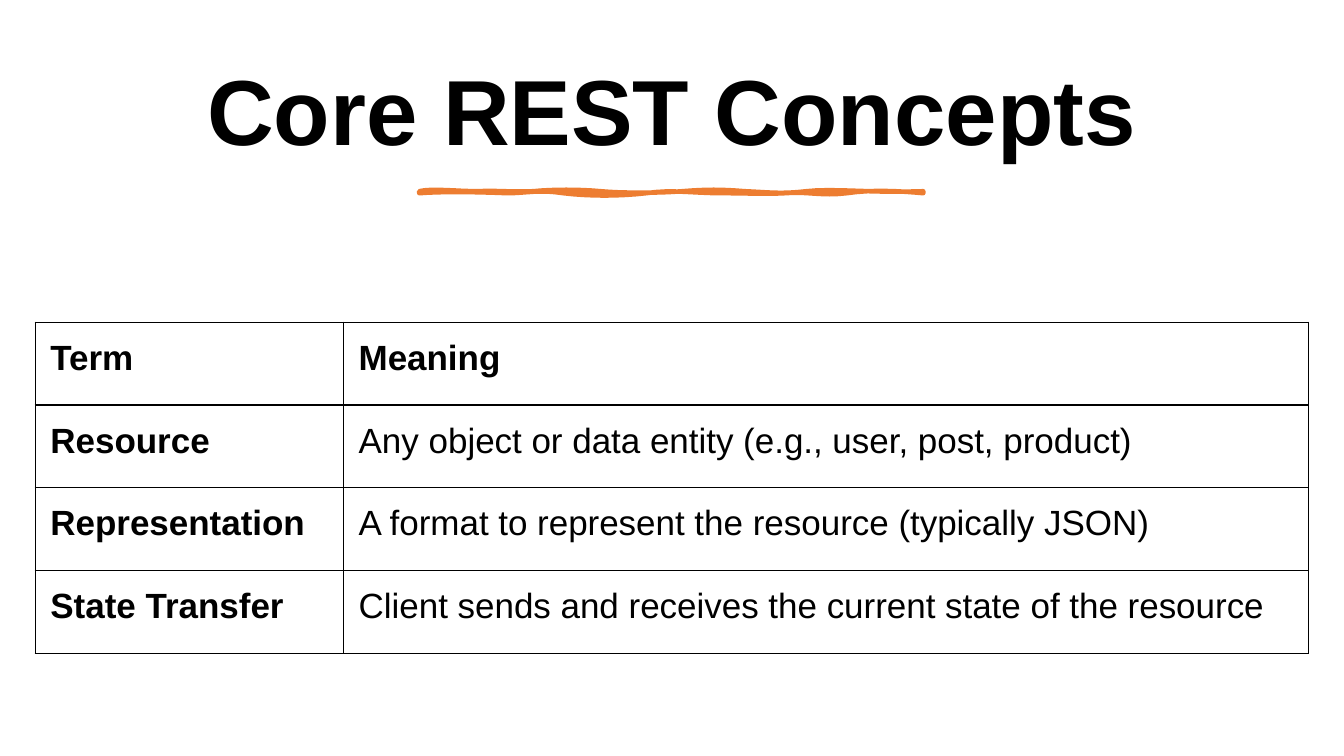
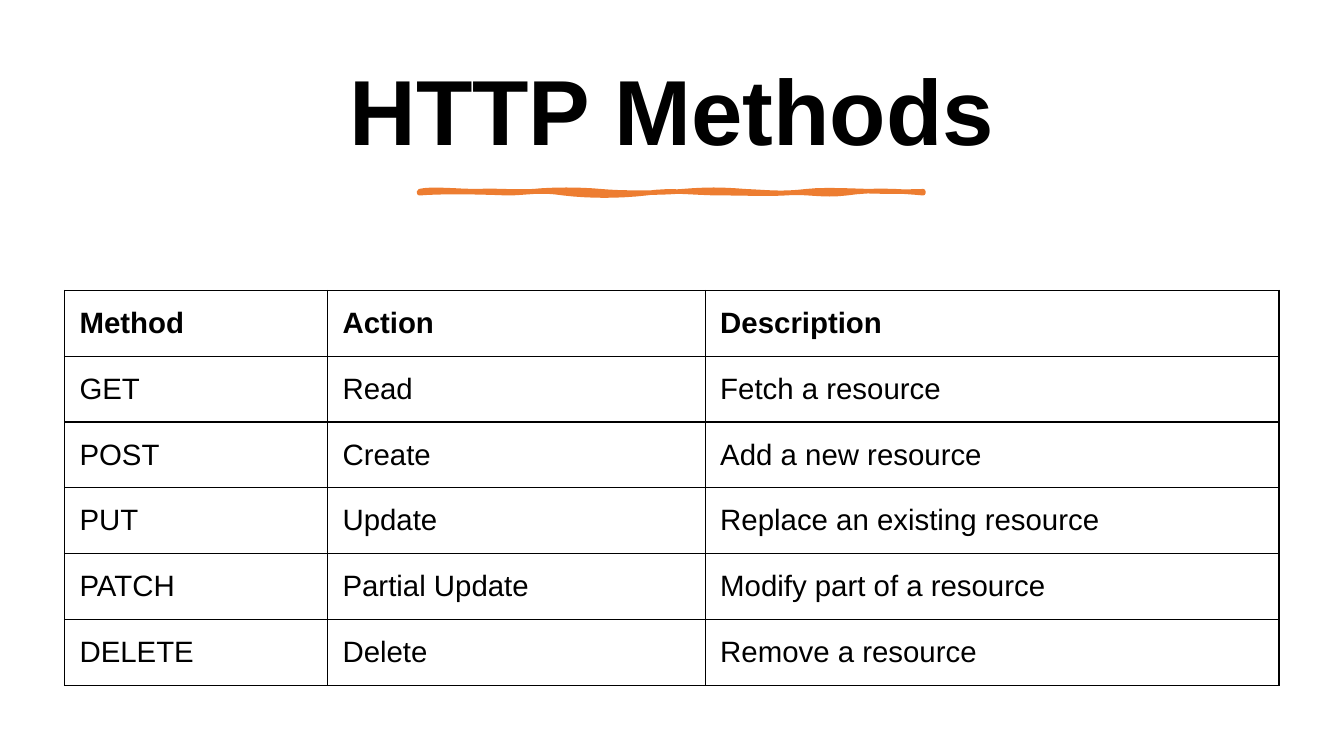
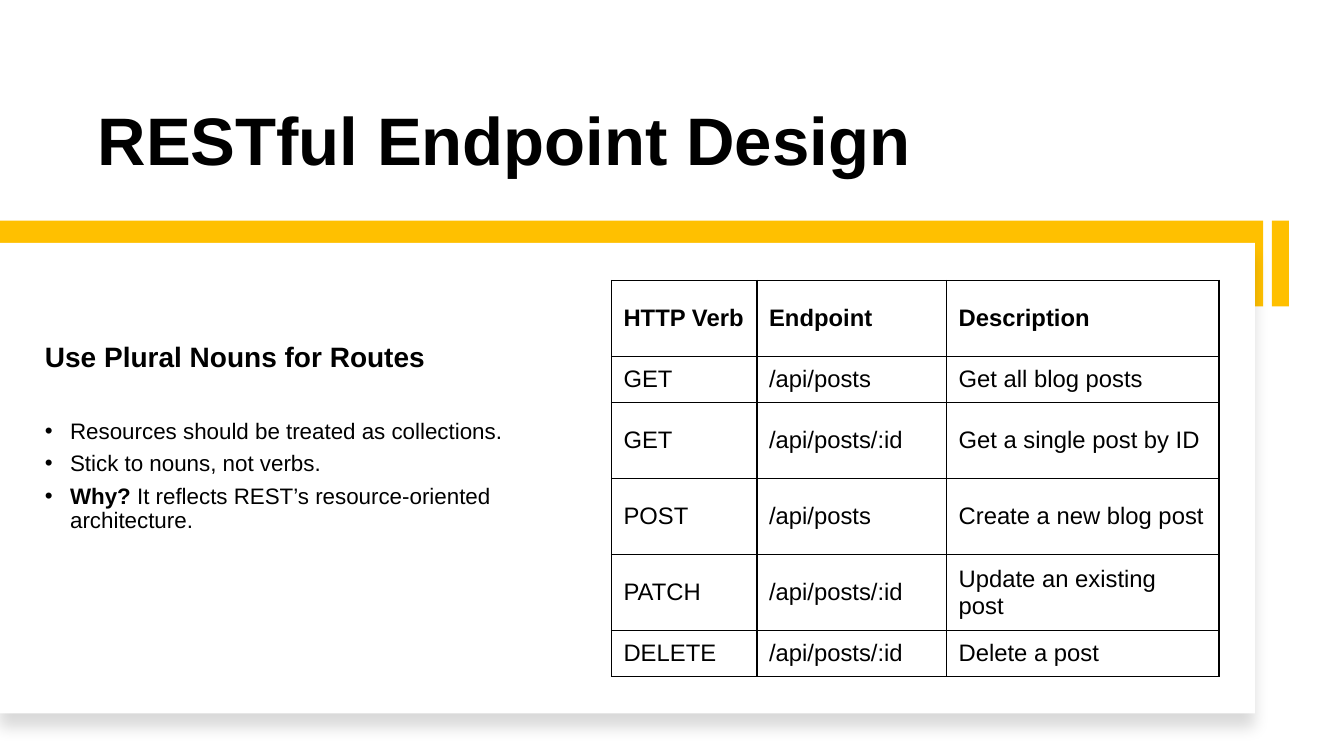
from lxml.etree import SubElement
from pptx import Presentation
from pptx.dml.color import RGBColor
from pptx.enum.shapes import MSO_SHAPE as Shape
from pptx.enum.text import MSO_ANCHOR as Anchor, PP_ALIGN as Align
from pptx.oxml.ns import qn
from pptx.util import Pt

FONT = "Arial"
BLACK, WHITE, ORANGE, GOLD = "000000", "FFFFFF", "ED7D31", "FFC000"

# Wavy rule: Bezier control points in points, three per curve after the start
WAVE_TOP = [
    (0, 0), (8.6, -2.2), (27.4, 0), (41, 0), (54.7, -0.7), (67, 0.7), (81.4, 0),
    (95.8, -1.4), (113.8, -1.4), (129.6, 0), (144.7, 1.4), (170.6, 1.4), (187.9, 0),
    (205.9, -1.4), (214.6, -1.4), (232.6, 0), (249.8, 0.7), (257.8, 2.2), (276.5, 0),
    (295.2, -2.2), (324.7, 1.4), (360, 0)]
WAVE_BOTTOM = [
    (360, 1.4), (344.9, 0), (323.3, -1.4), (305.3, 1.4), (287.3, 3.6), (277.2, 0),
    (261.4, 1.4), (244.8, 2.2), (238.3, 1.4), (216.7, 1.4), (195.1, 1.4), (180.7, -1.4),
    (162, 1.4), (142.6, 3.6), (121.7, 3.6), (103, 1.4), (85, -1.4), (77, 1.4),
    (62.6, 1.4), (48.2, 0.7), (15.8, 0), (0, 1.4)]

CONCEPTS = [
    ("Term", "Meaning"),
    ("Resource", "Any object or data entity (e.g., user, post, product)"),
    ("Representation", "A format to represent the resource (typically JSON)"),
    ("State Transfer", "Client sends and receives the current state of the resource")]
METHODS = [
    ("Method", "Action", "Description"),
    ("GET", "Read", "Fetch a resource"),
    ("POST", "Create", "Add a new resource"),
    ("PUT", "Update", "Replace an existing resource"),
    ("PATCH", "Partial Update", "Modify part of a resource"),
    ("DELETE", "Delete", "Remove a resource")]
ENDPOINTS = [
    ("HTTP Verb", "Endpoint", "Description"),
    ("GET", "/api/posts", "Get all blog posts"),
    ("GET", "/api/posts/:id", "Get a single post by ID"),
    ("POST", "/api/posts", "Create a new blog post"),
    ("PATCH", "/api/posts/:id", "Update an existing post"),
    ("DELETE", "/api/posts/:id", "Delete a post")]


def colour(value):
    return RGBColor.from_string(value)


def add_span(para, text, size=16, bold=False, color=BLACK):
    span = para.add_run()
    span.text = text
    font = span.font
    font.name, font.size, font.bold = FONT, Pt(size), bold
    font.color.rgb = colour(color)


def set_spacing(para, after=6):
    para.line_spacing = 0.9
    para.space_after = Pt(after)


def add_bullet(para, indent=18):
    props = para._p.get_or_add_pPr()
    props.set("marL", str(Pt(indent)))
    props.set("indent", str(-Pt(indent)))
    SubElement(SubElement(props, qn("a:buClr")), qn("a:srgbClr"), val=BLACK)
    SubElement(props, qn("a:buFont"), typeface=FONT)
    SubElement(props, qn("a:buChar"), char="•")


def add_frame(page, box, anchor):
    frame = page.shapes.add_textbox(*map(Pt, box)).text_frame
    frame.word_wrap = True
    frame.vertical_anchor = anchor
    return frame


def add_title(page, text, box, size, align=Align.LEFT, anchor=Anchor.MIDDLE):
    para = add_frame(page, box, anchor).paragraphs[0]
    para.alignment = align
    set_spacing(para)
    add_span(para, text, size=size, bold=True)


def add_rect(page, box, fill):
    rect = page.shapes.add_shape(Shape.RECTANGLE, *map(Pt, box))
    rect.shadow.inherit = False
    rect.fill.solid()
    rect.fill.fore_color.rgb = colour(fill)
    rect.line.fill.background()
    return rect


def add_soft_shadow(shape):
    effects = shape._element.spPr.find(qn("a:effectLst"))
    shadow = SubElement(effects, qn("a:outerShdw"), blurRad=str(Pt(11)),
                        dist=str(Pt(10)), dir="5400000", algn="t", rotWithShape="0")
    shade = SubElement(shadow, qn("a:srgbClr"), val=BLACK)
    SubElement(shade, qn("a:alpha"), val="15000")


def sample_curves(points, steps=8):
    """Points along a chain of cubic Bezier curves."""
    samples = [points[0]]
    for first in range(0, len(points) - 1, 3):
        curve = points[first:first + 4]
        for step in range(1, steps + 1):
            t = step / steps
            weights = ((1 - t) ** 3, 3 * t * (1 - t) ** 2, 3 * t * t * (1 - t), t ** 3)
            samples.append(tuple(sum(w * point[axis] for w, point in zip(weights, curve))
                                 for axis in (0, 1)))
    return samples


def add_wavy_rule(page, left, top):
    outline = sample_curves(WAVE_TOP) + sample_curves(WAVE_BOTTOM)
    units = [(x * 100, y * 100) for x, y in outline]
    builder = page.shapes.build_freeform(*units[0], scale=Pt(1) / 100)
    builder.add_line_segments(units[1:], close=True)
    rule = builder.convert_to_shape(Pt(left), Pt(top))
    rule.shadow.inherit = False
    rule.fill.solid()
    rule.fill.fore_color.rgb = colour(ORANGE)
    rule.line.color.rgb = colour(ORANGE)
    rule.line.width = Pt(3.25)
    SubElement(rule.line._ln, qn("a:round"))


def add_borders(cell):
    props = cell._tc.get_or_add_tcPr()
    for side in ("lnL", "lnR", "lnT", "lnB"):
        line = SubElement(props, qn("a:" + side), w=str(Pt(1)))
        SubElement(SubElement(line, qn("a:solidFill")), qn("a:srgbClr"), val=BLACK)


def add_grid(page, left, top, widths, heights, rows, size, insets, bold_first=False):
    """Ruled table with a bold head row; insets are left, top, right, bottom."""
    box = (left, top, sum(widths), sum(heights))
    table = page.shapes.add_table(len(rows), len(widths), *map(Pt, box)).table
    table.first_row = table.horz_banding = False
    for column, width in zip(table.columns, widths):
        column.width = Pt(width)
    for r, (texts, height) in enumerate(zip(rows, heights)):
        table.rows[r].height = Pt(height)
        for c, text in enumerate(texts):
            cell = table.cell(r, c)
            (cell.margin_left, cell.margin_top,
             cell.margin_right, cell.margin_bottom) = map(Pt, insets)
            cell.vertical_anchor = Anchor.MIDDLE
            add_borders(cell)
            cell.fill.background()
            add_span(cell.text_frame.paragraphs[0], text, size=size,
                     bold=r == 0 or (bold_first and c == 0))


def add_advice(page, box):
    frame = add_frame(page, box, Anchor.MIDDLE)
    heading = frame.paragraphs[0]
    set_spacing(heading, after=32.7)
    add_span(heading, "Use Plural Nouns for Routes", size=20, bold=True)
    for lead, text in (("", "Resources should be treated as collections."),
                       ("", "Stick to nouns, not verbs."),
                       ("Why?", " It reflects REST’s resource-oriented architecture.")):
        para = frame.add_paragraph()
        set_spacing(para)
        add_bullet(para)
        if lead:
            add_span(para, lead, bold=True)
        add_span(para, text)


def new_page(deck):
    return deck.slides.add_slide(deck.slide_layouts[6])


def add_table_page(deck, title, **grid):
    page = new_page(deck)
    add_title(page, title, (50.4, 33.1, 859, 98.6), 66, align=Align.CENTER)
    add_wavy_rule(page, 299.5, 136.6)
    add_grid(page, **grid)


def add_endpoint_page(deck):
    page = new_page(deck)
    add_title(page, "RESTful Endpoint Design", (62.6, 30.2, 792.7, 102.2), 48,
              anchor=Anchor.BOTTOM)
    # Gold band, with the white card over it
    band_top, band_height = 157.6, 61.2
    add_rect(page, (0, band_top, 902.2, band_height), GOLD)
    add_soft_shadow(add_rect(page, (0, 173.5, 896.4, 336.2), WHITE))
    add_advice(page, (25, 204.5, 411.8, 217.4))
    add_rect(page, (908.6, band_top, 12.2, band_height), GOLD)
    tall, short = 54.3, 32.9
    add_grid(page, 436.8, 200.3, (104, 135.4, 194.6),
             (tall, short, tall, tall, tall, short), ENDPOINTS, 17, (8.6, 4.3, 8.6, 4.3))


def main():
    deck = Presentation()
    deck.slide_width, deck.slide_height = Pt(960), Pt(540)
    add_table_page(deck, "Core REST Concepts", left=25.2, top=230.2, widths=(220.2, 689),
                   heights=[59.1] * 4, rows=CONCEPTS, size=25,
                   insets=(10.8, 7.6, 7.6, 15.1), bold_first=True)
    add_table_page(deck, "HTTP Methods", left=46, top=207.4, widths=(187.9, 269.8, 410),
                   heights=[47] * 6, rows=METHODS, size=21, insets=(10.8, 5.4, 10.8, 5.4))
    add_endpoint_page(deck)
    deck.save("out.pptx")


if __name__ == "__main__":
    main()
